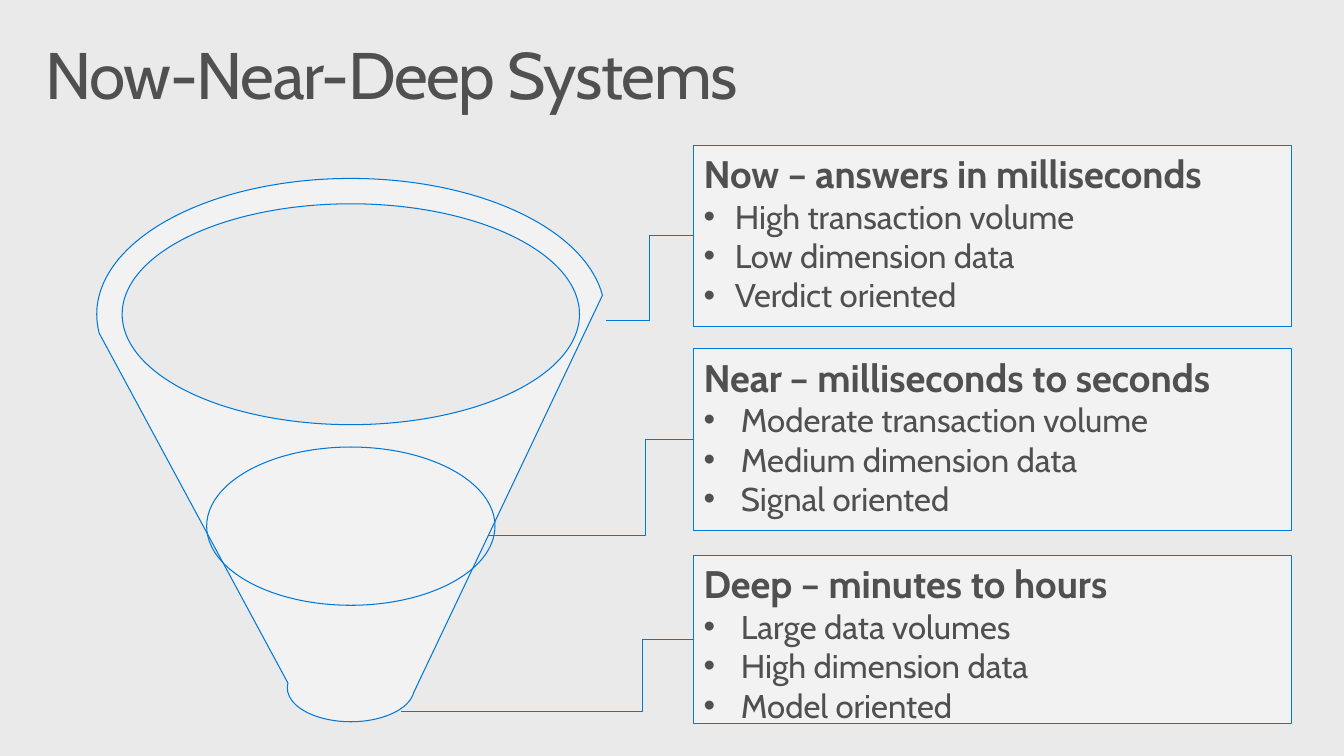
from lxml.etree import SubElement
from pptx import Presentation
from pptx.dml.color import RGBColor
from pptx.enum.shapes import MSO_CONNECTOR, MSO_SHAPE
from pptx.enum.text import MSO_ANCHOR, MSO_AUTO_SIZE, PP_ALIGN
from pptx.oxml.ns import qn
from pptx.util import Inches, Pt

FONT = "Cabin"
GREY, BLUE, WHITE, BACKGROUND = "505050", "0078D7", "FFFFFF", "EAEAEA"
PANEL_LEFT, PANEL_WIDTH = 6.88, 5.93
HEADING_SIZE, BULLET_SIZE = 27.4, 23.5

PANELS = [
    {
        "top": 5.51, "height": 1.67, "indent": 0.37,
        "heading": [("Deep – minutes to hours", HEADING_SIZE)],
        "bullets": ["Large data volumes", "High dimension data", "Model oriented"],
        "target": (3.98, 7.06), "bend": 0.176,
    },
    {
        "top": 3.46, "height": 1.8, "indent": 0.37,
        "heading": [("Near", HEADING_SIZE), (" ", 24), ("– milliseconds to seconds", 27.5)],
        "bullets": ["Moderate transaction volume", "Medium dimension data", "Signal oriented"],
        "target": (4.84, 5.31), "bend": 0.235,
    },
    {
        "top": 1.44, "height": 1.8, "indent": 0.31,
        "heading": [("Now – answers in milliseconds", HEADING_SIZE)],
        "bullets": ["High transaction volume", "Low dimension data", "Verdict oriented"],
        "target": (6.01, 3.18), "bend": 0.5,
    },
]


def color(hex_string):
    """Turn a hex string into a colour."""
    return RGBColor.from_string(hex_string)


def add_run(paragraph, text, size, bold=False):
    """Add one formatted run and return it."""
    run = paragraph.add_run()
    run.text = text
    run.font.name = FONT
    run.font.size = Pt(size)
    run.font.bold = bold
    run.font.color.rgb = color(GREY)
    return run


def add_outlined_shape(shapes, kind, box, filled=True):
    """Add a blue-outlined shape with an optional translucent white fill."""
    shape = shapes.add_shape(kind, *map(Inches, box))
    shape.shadow.inherit = False
    shape.line.color.rgb = color(BLUE)
    shape.line.width = Pt(0.75)
    if filled:
        shape.fill.solid()
        shape.fill.fore_color.rgb = color(WHITE)
        white = shape.fill._xPr.find(qn("a:solidFill"))[0]
        SubElement(white, qn("a:alpha"), val="40000")
    else:
        shape.fill.background()
    return shape


def add_elbow(shapes, start, end, bend):
    """Add an elbow line that turns at a share of its width."""
    connector = shapes.add_connector(MSO_CONNECTOR.ELBOW, *map(Inches, start + end))
    connector.line.color.rgb = color(BLUE)
    connector.line.width = Pt(0.75)
    properties = connector._element.spPr
    SubElement(properties, qn("a:effectLst"))
    guides = properties.find(qn("a:prstGeom")).get_or_add_avLst()
    SubElement(guides, qn("a:gd"), name="adj1", fmla=f"val {round(bend * 100000)}")


def add_title(slide, box):
    """Place and format the title placeholder."""
    title = slide.shapes.title
    title.left, title.top, title.width, title.height = map(Inches, box)
    frame = title.text_frame
    frame.word_wrap = True
    frame.auto_size = MSO_AUTO_SIZE.NONE
    frame.vertical_anchor = MSO_ANCHOR.TOP
    frame.margin_left = frame.margin_right = Inches(0.16)
    frame.margin_top = frame.margin_bottom = Inches(0.1)
    paragraph = frame.paragraphs[0]
    paragraph.alignment = PP_ALIGN.LEFT
    paragraph.line_spacing = 0.9
    run = add_run(paragraph, "Now-Near-Deep Systems", 47)
    run.font._element.set("spc", "-100")


def add_funnel(slide, box):
    """Draw the funnel and the ellipse that marks its middle level."""
    left, top, width, height = box
    add_outlined_shape(slide.shapes, MSO_SHAPE.FUNNEL, box)
    ring_width, ring_height = 2.86, 1.57
    ring = (left + (width - ring_width) / 2, top + height / 2 - 0.03, ring_width, ring_height)
    add_outlined_shape(slide.shapes, MSO_SHAPE.OVAL, ring, filled=False)


def add_bullet(frame, text, indent):
    """Add one bulleted paragraph with a hanging indent."""
    paragraph = frame.add_paragraph()
    paragraph.alignment = PP_ALIGN.LEFT
    properties = paragraph._p.get_or_add_pPr()
    properties.set("marL", str(Inches(indent)))
    properties.set("indent", str(-Inches(indent)))
    SubElement(properties, qn("a:buFont"), typeface="Arial")
    SubElement(properties, qn("a:buChar"), char="•")
    add_run(paragraph, text, BULLET_SIZE)


def add_panel(slide, box, panel):
    """Add a text panel and the elbow line to its funnel level."""
    left, top, width, height = box
    group = slide.shapes.add_group_shape()
    rectangle = add_outlined_shape(group.shapes, MSO_SHAPE.RECTANGLE, box)
    frame = rectangle.text_frame
    frame.word_wrap = True
    frame.vertical_anchor = MSO_ANCHOR.TOP
    heading = frame.paragraphs[0]
    heading.alignment = PP_ALIGN.LEFT
    for text, size in panel["heading"]:
        add_run(heading, text, size, bold=True)
    for text in panel["bullets"]:
        add_bullet(frame, text, panel["indent"])
    add_elbow(group.shapes, (left, top + height / 2), panel["target"], panel["bend"])


def main():
    """Build and save the slide."""
    presentation = Presentation()
    presentation.slide_width = Inches(13.33)
    presentation.slide_height = Inches(7.5)
    slide = presentation.slides.add_slide(presentation.slide_layouts.get_by_name("Title Only"))
    slide.background.fill.solid()
    slide.background.fill.fore_color.rgb = color(BACKGROUND)
    add_title(slide, (0.29, 0.32, 12.75, 0.98))
    add_funnel(slide, (0.96, 1.77, 5.04, 5.39))
    for panel in PANELS:
        add_panel(slide, (PANEL_LEFT, panel["top"], PANEL_WIDTH, panel["height"]), panel)
    presentation.save("out.pptx")


if __name__ == "__main__":
    main()
